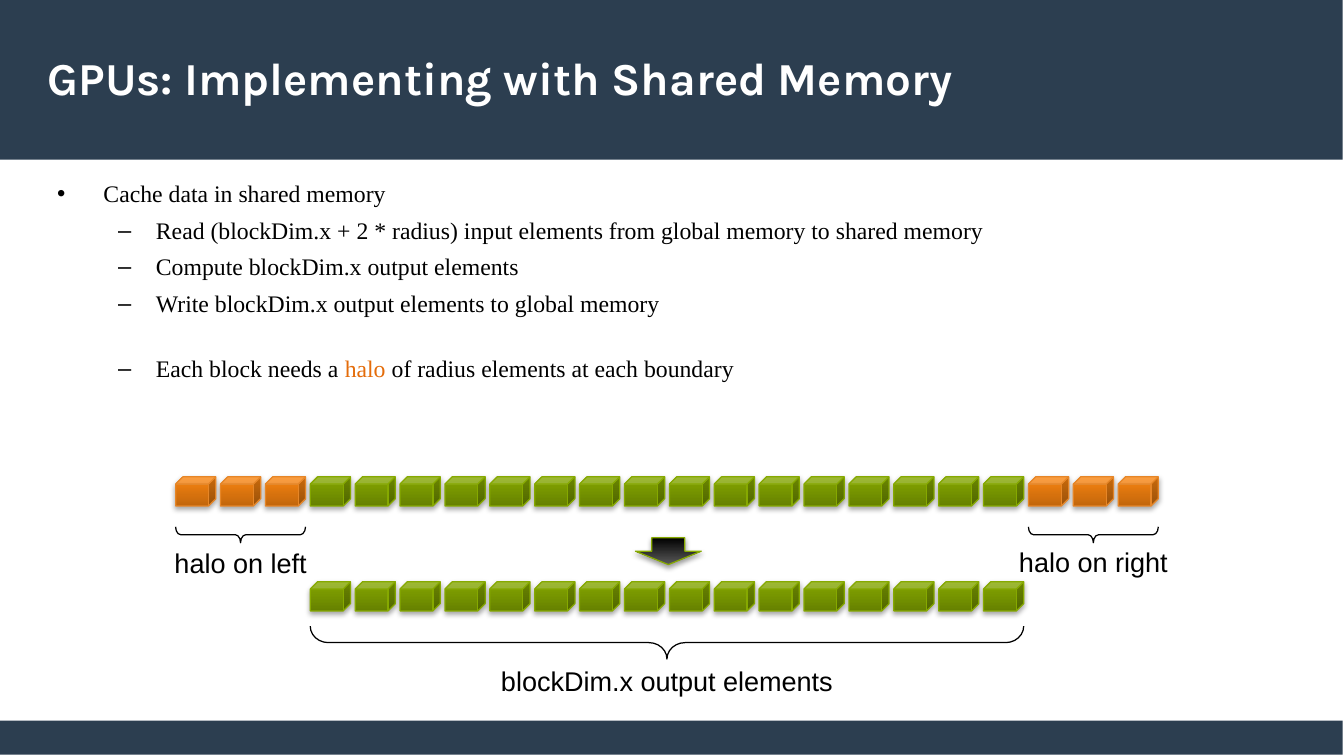
from dataclasses import dataclass

from lxml import etree
from pptx import Presentation
from pptx.dml.color import RGBColor
from pptx.enum.shapes import MSO_SHAPE
from pptx.enum.text import MSO_ANCHOR, MSO_AUTO_SIZE, PP_ALIGN
from pptx.oxml.ns import qn
from pptx.util import Inches, Pt

RECTANGLE = MSO_SHAPE.RECTANGLE
CUBE = MSO_SHAPE.CUBE
DOWN_ARROW = MSO_SHAPE.DOWN_ARROW
LEFT_BRACE = MSO_SHAPE.LEFT_BRACE
MIDDLE = MSO_ANCHOR.MIDDLE
NO_FIT, GROW = MSO_AUTO_SIZE.NONE, MSO_AUTO_SIZE.SHAPE_TO_FIT_TEXT
LEFT, CENTER = PP_ALIGN.LEFT, PP_ALIGN.CENTER
TITLE_ONLY = 5

SLIDE_WIDTH, SLIDE_HEIGHT = Inches(11.02), Inches(6.2)

FIRST_CELL, LAST_CELL = 13.07, 83.2
CELL_WIDTH, CELL_HEIGHT = 2.99, 3.87
INPUT_TOP, OUTPUT_TOP = 63.06, 76.94
RADIUS, BLOCK = 3, 16
PITCH = (LAST_CELL - FIRST_CELL) / (2 * RADIUS + BLOCK - 1)


@dataclass(frozen=True)
class Theme:
    band: str = "2C3E50"
    title: str = "FFFFFF"
    ink: str = "000000"
    accent: str = "E46C0A"
    block_fill: tuple = ("668100", "85A700")
    block_line: str = "86A900"
    halo_fill: tuple = ("C1660C", "FA8510")
    halo_line: str = "E68627"
    arrow_fill: tuple = ("595959", "000000")
    title_font: str = "Karla"
    body_font: str = "Times New Roman"
    label_font: str = "Arial"
    title_size: int = 27
    body_size: int = 14
    label_size: int = 16
    line_width: float = 0.75


THEME = Theme()

BULLETS = [
    (0, 0, ["Cache data in shared memory"]),
    (1, 4.8, ["Read (blockDim.x + 2 * radius) input elements from global memory to shared memory"]),
    (1, 4.8, ["Compute blockDim.x output elements"]),
    (1, 4.8, ["Write blockDim.x output elements to global memory"]),
    (1, 21.7, ["Each block needs a ", "halo ", "of radius elements at each boundary"]),
]
BULLET_STYLES = [("•", 0.38, -0.38), ("–", 0.81, -0.31)]


def box(left, top, width, height):
    return (round(SLIDE_WIDTH * left / 100), round(SLIDE_HEIGHT * top / 100),
            round(SLIDE_WIDTH * width / 100), round(SLIDE_HEIGHT * height / 100))


def cell_left(column):
    return FIRST_CELL + column * PITCH


def span_width(count):
    return (count - 1) * PITCH + CELL_WIDTH


def style_font(font, name, size, color, bold=False):
    font.name, font.size, font.bold = name, Pt(size), bold
    font.color.rgb = RGBColor.from_string(color)


def add_band(slide, top, height):
    band = slide.shapes.add_shape(RECTANGLE, *box(0, top, 99.91, height))
    band.shadow.inherit = False
    band.fill.solid()
    band.fill.fore_color.rgb = RGBColor.from_string(THEME.band)
    band.line.fill.background()


def add_title(slide, text):
    title = slide.shapes.title
    title.left, title.top, title.width, title.height = box(3.54, 4.03, 92.74, 12.42)
    title.element.getparent().append(title.element)
    frame = title.text_frame
    frame.text = text
    frame.word_wrap = True
    frame.auto_size = NO_FIT
    frame.vertical_anchor = MIDDLE
    frame.margin_left = frame.margin_top = frame.margin_right = frame.margin_bottom = 0
    paragraph = frame.paragraphs[0]
    paragraph.alignment = LEFT
    style_font(paragraph.font, THEME.title_font, THEME.title_size, THEME.title, True)


def set_bullet(paragraph, character, indent, hanging):
    properties = paragraph._p.get_or_add_pPr()
    properties.set("marL", str(Inches(indent)))
    properties.set("indent", str(Inches(hanging)))
    etree.SubElement(properties, qn("a:buFont")).set("typeface", THEME.label_font)
    etree.SubElement(properties, qn("a:buChar")).set("char", character)


def add_bullets(slide):
    frame = slide.shapes.add_textbox(*box(3.36, 22.9, 93.92, 74.84)).text_frame
    frame.word_wrap = True
    for index, (level, space, parts) in enumerate(BULLETS):
        paragraph = frame.add_paragraph() if index else frame.paragraphs[0]
        paragraph.level = level
        paragraph.space_before = Pt(space)
        set_bullet(paragraph, *BULLET_STYLES[level])
        style_font(paragraph.font, THEME.body_font, THEME.body_size, THEME.ink)
        for part in parts:
            run = paragraph.add_run()
            run.text = part
            if part == "halo ":
                run.font.color.rgb = RGBColor.from_string(THEME.accent)


def add_shadow(shape, opacity):
    shape.shadow.inherit = False
    effects = shape.element.spPr.find(qn("a:effectLst"))
    shadow = etree.SubElement(effects, qn("a:outerShdw"), blurRad=str(Pt(3.1)),
                              dist=str(Pt(1.8)), dir="5400000", rotWithShape="0")
    color = etree.SubElement(shadow, qn("a:srgbClr"), val=THEME.ink)
    etree.SubElement(color, qn("a:alpha"), val=str(opacity * 1000))


def set_line(shape, color):
    shape.line.color.rgb = RGBColor.from_string(color)
    shape.line.width = Pt(THEME.line_width)


def add_glossy(shapes, kind, place, colors, line, opacity=35):
    shape = shapes.add_shape(kind, *place)
    shape.fill.gradient()
    shape.fill.gradient_angle = 90
    for stop, position, color in zip(shape.fill.gradient_stops, (0, 1), colors):
        stop.position = position
        stop.color.rgb = RGBColor.from_string(color)
    set_line(shape, line)
    add_shadow(shape, opacity)


def add_cells(shapes, first, count, top, colors, line):
    for column in range(first, first + count):
        place = box(cell_left(column), top, CELL_WIDTH, CELL_HEIGHT)
        add_glossy(shapes, CUBE, place, colors, line)


def add_brace(slide, first, count, top, depth, curve):
    left, top, span, depth = box(cell_left(first), top, span_width(count), depth)
    shift = (span - depth) // 2
    brace = slide.shapes.add_shape(LEFT_BRACE, left + shift, top - shift, depth, span)
    brace.rotation = 270
    brace.adjustments[0] = curve
    brace.shadow.inherit = False
    brace.fill.background()
    set_line(brace, THEME.ink)


def add_label(slide, text, first, count, top, width):
    left = cell_left(first) + (span_width(count) - width) / 2
    frame = slide.shapes.add_textbox(*box(left, top, width, 5.81)).text_frame
    frame.word_wrap = False
    frame.auto_size = GROW
    frame.text = text
    paragraph = frame.paragraphs[0]
    paragraph.alignment = CENTER
    style_font(paragraph.font, THEME.label_font, THEME.label_size, THEME.ink)


def main():
    presentation = Presentation()
    presentation.slide_width, presentation.slide_height = SLIDE_WIDTH, SLIDE_HEIGHT
    slide = presentation.slides.add_slide(presentation.slide_layouts[TITLE_ONLY])
    add_band(slide, 95.32, 4.52)
    add_band(slide, 0, 21.13)
    add_title(slide, "GPUs: Implementing with Shared Memory")
    add_bullets(slide)

    right_halo = RADIUS + BLOCK
    for top in (OUTPUT_TOP, INPUT_TOP):
        group = slide.shapes.add_group_shape()
        add_cells(group.shapes, RADIUS, BLOCK, top, THEME.block_fill, THEME.block_line)
    for first in (right_halo, 0):
        add_cells(slide.shapes, first, RADIUS, INPUT_TOP, THEME.halo_fill, THEME.halo_line)
    add_glossy(slide.shapes, DOWN_ARROW, box(47.28, 71.13, 4.9, 3.55),
               THEME.arrow_fill, THEME.block_line, 38)

    add_brace(slide, RADIUS, BLOCK, 82.82, 4.35, 0.55)
    for first in (0, right_halo):
        add_brace(slide, first, RADIUS, 69.68, 2.1, 0.33)
    add_label(slide, "blockDim.x output elements", RADIUS, BLOCK, 87.1, 26.59)
    add_label(slide, "halo on left", 0, RADIUS, 71.45, 12)
    add_label(slide, "halo on right", right_halo, RADIUS, 71.29, 12.89)
    presentation.save("out.pptx")


if __name__ == "__main__":
    main()
